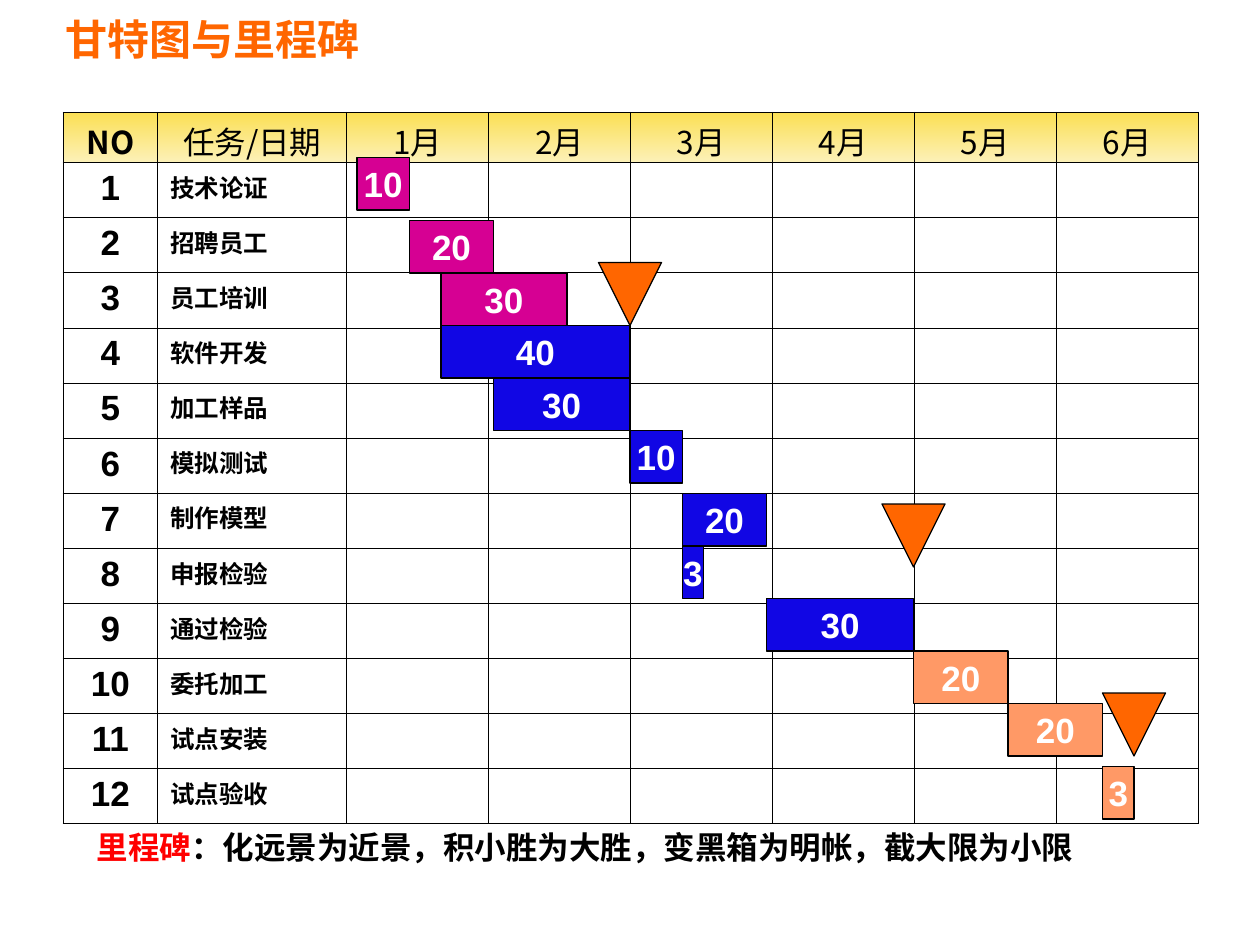
from lxml import etree
from pptx import Presentation
from pptx.dml.color import RGBColor
from pptx.enum.shapes import MSO_SHAPE
from pptx.enum.text import MSO_ANCHOR, PP_ALIGN
from pptx.oxml.ns import qn
from pptx.util import Cm, Pt

BAR, TRIANGLE = MSO_SHAPE.RECTANGLE, MSO_SHAPE.ISOSCELES_TRIANGLE
LEFT, CENTER = PP_ALIGN.LEFT, PP_ALIGN.CENTER
MIDDLE = MSO_ANCHOR.MIDDLE

TITLE = "甘特图与里程碑"
HEADINGS = ["NO", "任务/日期", "1月", "2月", "3月", "4月", "5月", "6月"]
# Task, days shown, phase, start and length in grid units
TASKS = [
    ("技术论证", 10, "prepare", 1, 5),
    ("招聘员工", 20, "prepare", 6, 8),
    ("员工培训", 30, "prepare", 9, 12),
    ("软件开发", 40, "develop", 9, 18),
    ("加工样品", 30, "develop", 14, 13),
    ("模拟测试", 10, "develop", 27, 5),
    ("制作模型", 20, "develop", 32, 8),
    ("申报检验", 3, "develop", 32, 2),
    ("通过检验", 30, "develop", 40, 14),
    ("委托加工", 20, "pilot", 54, 9),
    ("试点安装", 20, "pilot", 63, 9),
    ("试点验收", 3, "pilot", 72, 3),
]
MILESTONES = [(27, 25), (54, 48), (75, 66)]  # tip across, top down, in grid units
CAPTION = [("里程碑", "keyword"), ("：化远景为近景，积小胜为大胜，变黑箱为明帐，截大限为小限", "ink")]

THEME = {
    "font": "Arial", "heading_font": "Noto Sans CJK SC",
    "title_size": 24, "heading_size": 18, "number_size": 20, "task_size": 14, "caption_size": 18,
    "accent": "FF6600", "ink": "000000", "light": "FFFFFF", "keyword": "FF0000",
    "prepare": "D60093", "develop": "1106E4", "pilot": "FF9966",
    "heading_top": "FBDF53", "heading_bottom": "FCF1B9",
    "border": 0.45, "outline": 0.75,
}

UNIT = 2.54 / 12  # grid unit in cm
TABLE_LEFT, TABLE_TOP = 1.27, 2.26
COLUMNS = [1.91, 3.81] + [2.86] * 6
ROWS = [1.02] + [1.11] * len(TASKS)
CHART_LEFT = 33 * UNIT
FIRST_BAR_TOP, BAR_UNITS, MILESTONE_UNITS = 15, 5, 6


def color(name):
    return RGBColor.from_string(THEME[name])


def style(run, size, ink, bold=True, font="font"):
    run.font.name = THEME[font]
    run.font.size = Pt(THEME[size])
    run.font.bold = bold
    run.font.color.rgb = color(ink)


def write(frame, text, size, ink, align=LEFT, **look):
    frame.text = text
    paragraph = frame.paragraphs[0]
    paragraph.alignment = align
    style(paragraph.runs[0], size, ink, **look)


def add_borders(cell):
    properties = cell._tc.get_or_add_tcPr()
    for position, side in enumerate(("lnL", "lnR", "lnT", "lnB")):
        line = etree.Element(qn("a:" + side), w=str(Pt(THEME["border"])))
        fill = etree.SubElement(line, qn("a:solidFill"))
        etree.SubElement(fill, qn("a:srgbClr"), val=THEME["ink"])
        properties.insert(position, line)


def add_text_box(slide, left, top, width, height):
    frame = slide.shapes.add_textbox(Cm(left), Cm(top), Cm(width), Cm(height)).text_frame
    frame.word_wrap = True
    return frame


def add_mark(slide, kind, across, down, width, height, fill):
    """Add an outlined shape placed in grid units, across from the first month."""
    mark = slide.shapes.add_shape(kind, Cm(CHART_LEFT + across * UNIT), Cm(down * UNIT),
                                  Cm(width * UNIT), Cm(height * UNIT))
    mark.shadow.inherit = False
    mark.fill.solid()
    mark.fill.fore_color.rgb = color(fill)
    mark.line.color.rgb = color("ink")
    mark.line.width = Pt(THEME["outline"])
    return mark


def add_schedule(slide):
    table = slide.shapes.add_table(len(ROWS), len(COLUMNS), Cm(TABLE_LEFT), Cm(TABLE_TOP),
                                   Cm(sum(COLUMNS)), Cm(sum(ROWS))).table
    table.first_row = table.horz_banding = False
    for column, width in zip(table.columns, COLUMNS):
        column.width = Cm(width)
    for row, height in zip(table.rows, ROWS):
        row.height = Cm(height)
    for cell in table.iter_cells():
        cell.fill.background()
        add_borders(cell)

    for index, heading in enumerate(HEADINGS):
        cell = table.cell(0, index)
        cell.fill.gradient()
        cell.fill.gradient_angle = 270
        for stop, name in zip(cell.fill.gradient_stops, ("heading_top", "heading_bottom")):
            stop.color.rgb = color(name)
        write(cell.text_frame, heading, "heading_size", "ink", CENTER,
              bold=index == 0, font="heading_font")
    for number, (task, *_) in enumerate(TASKS, 1):
        write(table.cell(number, 0).text_frame, str(number), "number_size", "ink", CENTER)
        write(table.cell(number, 1).text_frame, task, "task_size", "ink")


def add_bars(slide):
    for index, (_, days, phase, start, length) in enumerate(TASKS):
        # One extra unit of gap follows the first bar and every fifth after it
        top = FIRST_BAR_TOP + index * BAR_UNITS + (index + 4) // 5
        bar = add_mark(slide, BAR, start, top, length, BAR_UNITS, phase)
        frame = bar.text_frame
        frame.word_wrap = False
        frame.vertical_anchor = MIDDLE
        write(frame, str(days), "number_size", "light", CENTER)


def add_milestones(slide):
    for tip, top in MILESTONES:
        marker = add_mark(slide, TRIANGLE, tip - MILESTONE_UNITS / 2, top,
                          MILESTONE_UNITS, MILESTONE_UNITS, "accent")
        marker.rotation = 180


def add_caption(slide):
    paragraph = add_text_box(slide, 1.7, 16.56, 22.02, 1.02).paragraphs[0]
    for text, ink in CAPTION:
        run = paragraph.add_run()
        run.text = text
        style(run, "caption_size", ink)


def main():
    deck = Presentation()
    deck.slide_width, deck.slide_height = Cm(25.4), Cm(19.05)
    slide = deck.slides.add_slide(deck.slide_layouts[6])
    title = add_text_box(slide, 1.07, 0, 11.63, 1.57)
    title.vertical_anchor = MIDDLE
    write(title, TITLE, "title_size", "accent")
    add_schedule(slide)
    add_bars(slide)
    add_milestones(slide)
    add_caption(slide)
    deck.save("out.pptx")


if __name__ == "__main__":
    main()
